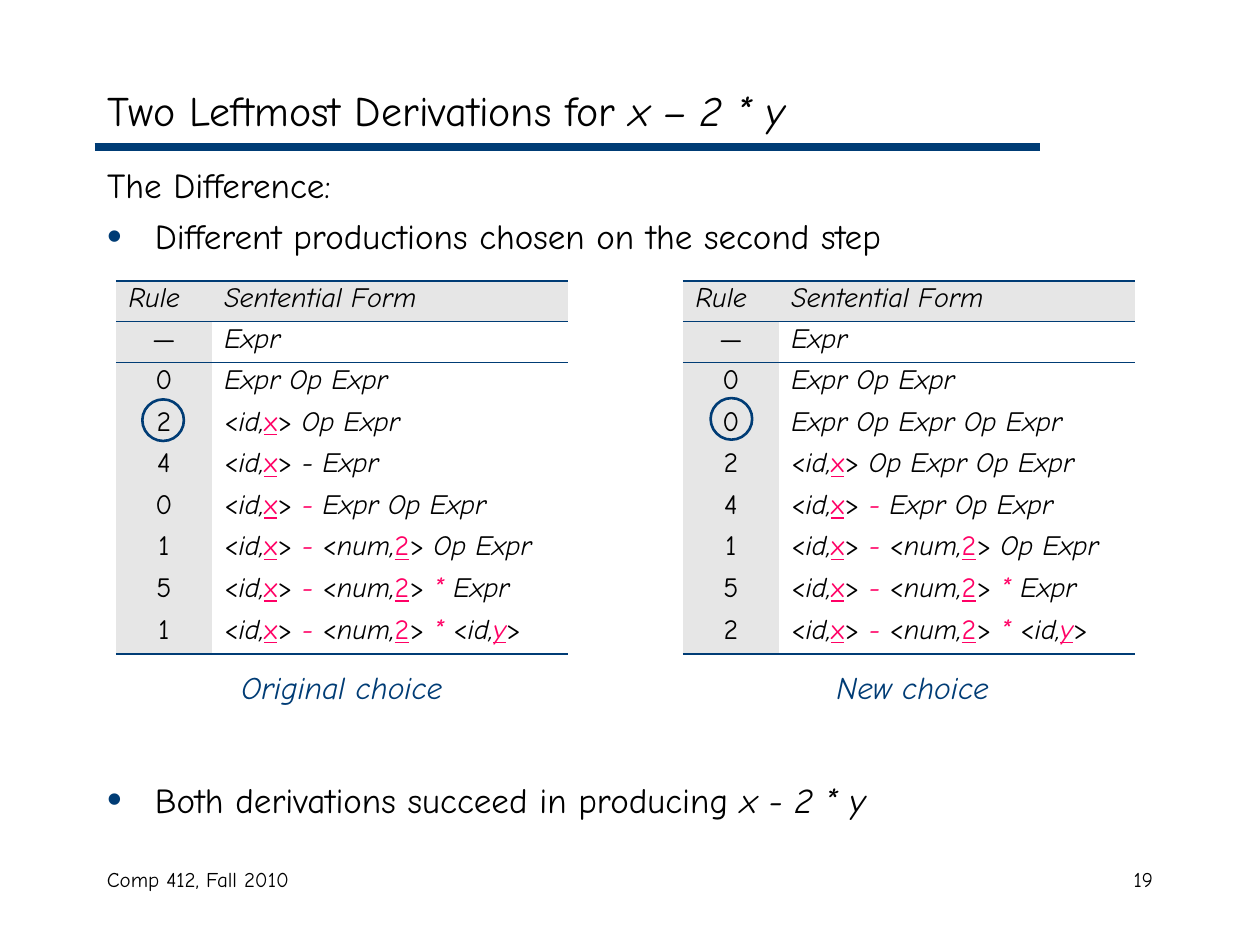
from lxml import etree
from pptx import Presentation
from pptx.dml.color import RGBColor
from pptx.enum.shapes import MSO_CONNECTOR, MSO_SHAPE
from pptx.enum.text import MSO_ANCHOR, MSO_AUTO_SIZE, PP_ALIGN
from pptx.oxml.ns import qn
from pptx.util import Inches, Pt

LEFT, CENTER, RIGHT = PP_ALIGN.LEFT, PP_ALIGN.CENTER, PP_ALIGN.RIGHT
MIDDLE = MSO_ANCHOR.MIDDLE
NO_FIT, GROW = MSO_AUTO_SIZE.NONE, MSO_AUTO_SIZE.SHAPE_TO_FIT_TEXT
STRAIGHT, ELLIPSE = MSO_CONNECTOR.STRAIGHT, MSO_SHAPE.OVAL


class Theme:
    font = "Comic Neue"
    ink, navy, pink, grey = "000000", "003C75", "FF0065", "E6E6E6"
    title, body, caption, table, footer = 24, 20, 18, 16, 12
    plain_table = "{2D5ABB26-0587-4C30-8999-92F81FD0307C}"


def add_text(p, text, size=Theme.body, color=Theme.ink, italic=False, underline=False):
    r = p.add_run()
    r.text = text
    r.font.name = Theme.font
    r.font.size = Pt(size)
    r.font.color.rgb = RGBColor.from_string(color)
    r.font.italic = italic
    r.font.underline = underline


def add_border(cell, side, width):
    ln = etree.SubElement(cell._tc.get_or_add_tcPr(), qn(f"a:{side}"), w=str(Pt(width)))
    fill = etree.SubElement(ln, qn("a:solidFill"))
    etree.SubElement(fill, qn("a:srgbClr"), val=Theme.navy)


# Pieces of the sentential forms: text with its format
UPRIGHT = {}
ITALIC = {"italic": True}
TERMINAL = {"color": Theme.pink, "underline": True}
OPERATOR = {"color": Theme.pink, "italic": True}

ID_X = [("<", UPRIGHT), ("id,", ITALIC), ("x", TERMINAL), (">", UPRIGHT)]
NUM_2 = [("<", UPRIGHT), ("num,", ITALIC), ("2", TERMINAL), (">", UPRIGHT)]
ID_Y = [("<", UPRIGHT), ("id,", ITALIC), ("y", {**TERMINAL, "italic": True}), (">", UPRIGHT)]
MINUS, TIMES = [(" - ", OPERATOR)], [(" * ", OPERATOR)]
EXPR, OP_EXPR = [("Expr", ITALIC)], [(" Op Expr", ITALIC)]

START = [("—", EXPR), ("0", EXPR + OP_EXPR)]
X_MINUS_2 = ID_X + MINUS + NUM_2
MINUS_EXPR_OP_EXPR = ID_X + MINUS + EXPR + OP_EXPR
FINISH = [("1", X_MINUS_2 + OP_EXPR), ("5", X_MINUS_2 + TIMES + EXPR)]
RESULT = X_MINUS_2 + TIMES + ID_Y

original_steps = START + [
    ("2", ID_X + OP_EXPR),
    ("4", ID_X + [(" - Expr", ITALIC)]),
    ("0", MINUS_EXPR_OP_EXPR),
] + FINISH + [("1", RESULT)]
new_steps = START + [
    ("0", EXPR + OP_EXPR + OP_EXPR),
    ("2", ID_X + OP_EXPR + OP_EXPR),
    ("4", MINUS_EXPR_OP_EXPR),
] + FINISH + [("2", RESULT)]

prs = Presentation()
prs.slide_width, prs.slide_height = Inches(10), Inches(7.5)
s = prs.slides.add_slide(prs.slide_layouts[1])

# Title and the rule below it
title, body = s.placeholders
title.left, title.top = Inches(0.75), Inches(0.58)
title.width, title.height = Inches(8.5), Inches(0.58)
tf = title.text_frame
tf.auto_size, tf.vertical_anchor = NO_FIT, MIDDLE
p = tf.paragraphs[0]
p.alignment = LEFT
add_text(p, "Two Leftmost Derivations for ", size=Theme.title)
add_text(p, "x – 2 * y", size=Theme.title, italic=True)

rule = s.shapes.add_connector(STRAIGHT, Inches(0.75), Inches(1.17), Inches(8.25), Inches(1.17))
rule.line.color.rgb = RGBColor.from_string(Theme.navy)
rule.line.width = Pt(4.5)
etree.SubElement(rule.element.spPr, qn("a:effectLst"))

# Body list; the last bullet sits below the tables
body.left, body.top = Inches(0.75), Inches(1.25)
body.width, body.height = Inches(8.5), Inches(5.42)
tf = body.text_frame
tf.auto_size = NO_FIT
points = [
    ("The Difference:", "", 5, False),
    ("Different productions chosen on the second step", "", 5, True),
    ("Both derivations succeed in producing ", "x - 2 * y", 298, True),
]
for i, (text, formula, space, bulleted) in enumerate(points):
    p = tf.add_paragraph() if i else tf.paragraphs[0]
    p.space_before = Pt(space)
    add_text(p, text)
    if formula:
        add_text(p, formula, italic=True)
    pPr = p._p.get_or_add_pPr()
    pPr.set("marL", str(Inches(0.38)))
    pPr.set("indent", str(-Inches(0.38)))
    if bulleted:
        color = etree.SubElement(pPr, qn("a:buClr"))
        etree.SubElement(color, qn("a:srgbClr"), val=Theme.navy)
        etree.SubElement(pPr, qn("a:buSzPct"), val="120000")
        etree.SubElement(pPr, qn("a:buChar"), char="•")
    else:
        etree.SubElement(pPr, qn("a:buNone"))

# Derivation tables, each with a ring around the step that differs
derivations = [
    (0.92, original_steps, 1.13, 3.17),
    (5.42, new_steps, 5.64, 3.16),
]
for left, steps, ring_left, ring_top in derivations:
    rows = [("Rule", [("Sentential Form", ITALIC)])] + steps
    frame = s.shapes.add_table(len(rows), 2, Inches(left), Inches(2.23), Inches(3.59), Inches(2.96))
    table = frame.table
    table.first_row = table.horz_banding = False
    for style in frame.element.iter(qn("a:tableStyleId")):
        style.text = Theme.plain_table
    table.columns[0].width, table.columns[1].width = Inches(0.76), Inches(2.83)
    for i, (rule_number, form) in enumerate(rows):
        header = i == 0
        table.rows[i].height = Inches(0.32 if header else 0.33)
        rule_runs = [(rule_number, ITALIC if header else UPRIGHT)]
        for j, runs in enumerate([rule_runs, form]):
            cell = table.cell(i, j)
            p = cell.text_frame.paragraphs[0]
            p.line_spacing = 0.8
            p.alignment = CENTER if j == 0 and not header else LEFT
            for text, style in runs:
                add_text(p, text, size=Theme.table, **style)
            if i < 2:
                add_border(cell, "lnT", 1.08 if header else 0.45)
            if header or i == len(rows) - 1:
                add_border(cell, "lnB", 0.45 if header else 1.08)
            if header or j == 0:
                cell.fill.solid()
                cell.fill.fore_color.rgb = RGBColor.from_string(Theme.grey)
            else:
                cell.fill.background()

    ring = s.shapes.add_shape(ELLIPSE, Inches(ring_left), Inches(ring_top), Inches(0.33), Inches(0.33))
    ring.shadow.inherit = False
    ring.fill.background()
    ring.line.color.rgb = RGBColor.from_string(Theme.navy)
    ring.line.width = Pt(1.5)

# Captions and footer
caption = {"size": Theme.caption, "color": Theme.navy, "italic": True}
footer = {"size": Theme.footer}
labels = [
    ("Original choice", 1.05, 5.25, 3.33, 0.4, CENTER, 11.2, GROW, caption),
    ("New choice", 5.58, 5.25, 3.33, 0.4, CENTER, 11.2, GROW, caption),
    ("Comp 412, Fall 2010", 0.75, 6.83, 3.17, 0.5, LEFT, 0, NO_FIT, footer),
    ("19", 7.17, 6.83, 2.08, 0.5, RIGHT, 0, NO_FIT, footer),
]
for text, left, top, width, height, align, space, fit, style in labels:
    box = s.shapes.add_textbox(Inches(left), Inches(top), Inches(width), Inches(height))
    tf = box.text_frame
    tf.word_wrap = True
    tf.auto_size = fit
    p = tf.paragraphs[0]
    p.alignment = align
    p.space_before = Pt(space)
    add_text(p, text, **style)

prs.save("out.pptx")
